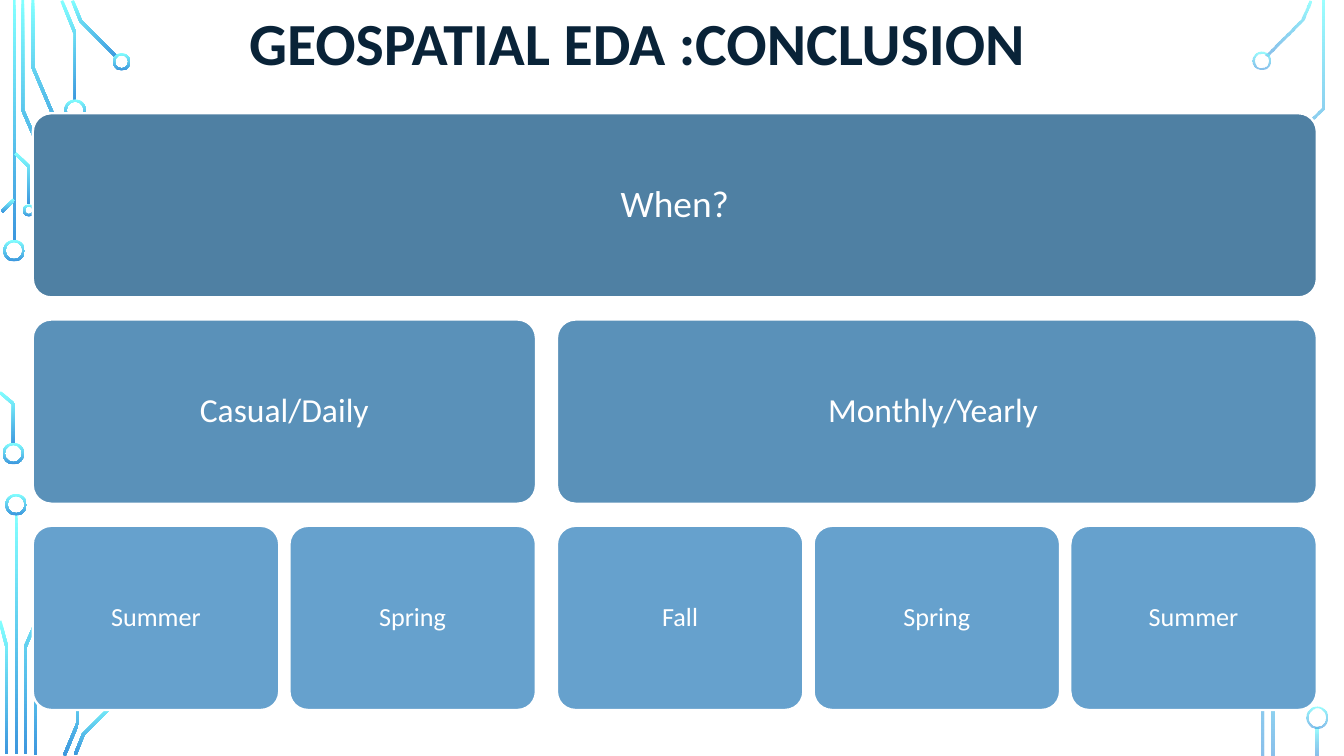
from math import hypot
from lxml.etree import SubElement
from pptx import Presentation
from pptx.dml.color import RGBColor
from pptx.enum.shapes import MSO_SHAPE
from pptx.enum.text import MSO_ANCHOR, PP_ALIGN
from pptx.oxml.ns import qn
from pptx.util import Inches, Pt

# The slide is a fine 16:9 grid of 1000 columns
COLS = 1000
ROWS = COLS * 9 / 16
UNIT = Inches(0.01)

# Circuit art: (points of each wire), (centre x, centre y, size of each ring)
LEFT_WIRES = [
    [(10.5, 0), (10.5, 179)],
    [(17, 0), (17, 82), (46, 149)],
    [(24.5, 0), (24.5, 50), (53, 117)],
    [(46, 0.5), (56, 25), (56, 75)],
    [(54, 0.5), (60, 15.5), (87, 42.5)],
    [(1.5, 157.5), (10.5, 148.5)],
    [(0, 292), (10, 300.5), (10, 331)],
    [(11.5, 114), (21.5, 124), (21.5, 152)],
    [(12, 382), (12, 561)],
    [(19, 561), (19, 481), (48, 414)],
    [(0, 462), (5, 481), (5, 561)],
    [(26.5, 562), (26.5, 512), (55, 445.5)],
    [(48, 562), (58, 538), (58, 488)],
    [(56, 561.5), (62, 546.5), (88.5, 520)],
]
LEFT_RINGS = [(10.5, 186.5, 16), (10, 337.5, 16), (56, 82, 16),
              (90.5, 46, 13), (21.5, 156.5, 9), (12, 375.5, 16)]
RIGHT_WIRES = [
    [(942.5, 41.5), (969, 14.5), (975, 0.5)],
    [(947, 562), (947, 520), (969.5, 467.5)],
    [(961.5, 127), (961.5, 103.5), (984.5, 80.5), (984.5, 0)],
    [(939.5, 562), (939.5, 460.5), (962.5, 437.5), (962.5, 414)],
    [(980, 541), (980, 562)],
]
RIGHT_RINGS = [(938.5, 45, 13), (972.5, 461.5, 13), (980, 534, 16)]

# Tiles: text, row, first column, last column
TILES = [
    ("When?", 0, 0, 4),
    ("Casual/Daily", 1, 0, 1),
    ("Monthly/Yearly ", 1, 2, 4),
    ("Summer", 2, 0, 0),
    ("Spring", 2, 1, 1),
    ("Fall", 2, 2, 2),
    ("Spring", 2, 3, 3),
    ("Summer", 2, 4, 4),
]
LOOKS = [("4F80A3", 20), ("5A91B9", 18), ("66A1CD", 14)]
TILE_W, TILE_H, STEP_X, STEP_Y = 183.4, 137, 191, 153.5


def grid(*nums):
    return [round(n * UNIT) for n in nums]


def tint(color, code):
    color.rgb = RGBColor.from_string(code)


def glow(shape, alphas):
    """Fill a shape from pale cyan at the top to blue at the foot."""
    shape.shadow.inherit = False
    shape.line.fill.background()
    shape.fill.gradient()
    shape.fill.gradient_angle = 270
    for stop, code, alpha in zip(shape.fill.gradient_stops, ("82FFFF", "3D97DE"), alphas):
        tint(stop.color, code)
        if alpha < 100:
            rgb = stop._element.find(qn("a:srgbClr"))
            SubElement(rgb, qn("a:alpha"), val=str(alpha * 1000))


def edge(points, half):
    """Shift a path sideways, with mitred corners."""
    norms = []
    for (ax, ay), (bx, by) in zip(points, points[1:]):
        size = hypot(bx - ax, by - ay)
        norms.append(((ay - by) / size, (bx - ax) / size))
    pairs = zip([norms[0]] + norms, norms + [norms[-1]])
    side = []
    for (x, y), ((ax, ay), (bx, by)) in zip(points, pairs):
        part = half / (1 + ax * bx + ay * by)
        side.append(grid(x + (ax + bx) * part, y + (ay + by) * part))
    return side


def wire(shapes, points, alphas):
    band = edge(points, 1.1) + edge(points, -1.1)[::-1]
    pen = shapes.build_freeform(*band[0])
    pen.add_line_segments(band[1:], close=True)
    glow(pen.convert_to_shape(), alphas)


def ring(shapes, x, y, size, alphas):
    shape = shapes.add_shape(MSO_SHAPE.DONUT, *grid(x - size / 2, y - size / 2, size, size))
    shape.adjustments[0] = 1.6 / size
    glow(shape, alphas)


def write(shape, text, size, code, align, bold=False):
    frame = shape.text_frame
    frame.text = text
    frame.word_wrap = True
    frame.vertical_anchor = MSO_ANCHOR.MIDDLE
    para = frame.paragraphs[0]
    para.alignment = align
    para.line_spacing = 0.9
    font = para.runs[0].font
    font.name, font.size, font.bold = "Calibri", Pt(size), bold
    tint(font.color, code)


def start(col):
    """Left side of a column; the second branch sits a little apart."""
    return 24.4 + STEP_X * col + (8 if col > 1 else 0)


def tile(shapes, text, row, first, last):
    code, size = LOOKS[row]
    left = start(first)
    box = grid(left, 84.3 + STEP_Y * row, start(last) + TILE_W - left, TILE_H)
    shape = shapes.add_shape(MSO_SHAPE.ROUNDED_RECTANGLE, *box)
    shape.adjustments[0] = 0.1
    shape.shadow.inherit = False
    shape.fill.solid()
    tint(shape.fill.fore_color, code)
    tint(shape.line.color, "FFFFFF")
    shape.line.width = Pt(1.25)
    write(shape, text, size, "FFFFFF", PP_ALIGN.CENTER)


def main():
    deck = Presentation()
    deck.slide_width, deck.slide_height = grid(COLS, ROWS)
    shapes = deck.slides.add_slide(deck.slide_layouts[6]).shapes

    # Circuit art on both sides
    for wires, rings, alphas in ((LEFT_WIRES, LEFT_RINGS, (100, 100)),
                                 (RIGHT_WIRES, RIGHT_RINGS, (80, 60))):
        for points in wires:
            wire(shapes, points, alphas)
        for spot in rings:
            ring(shapes, *spot, alphas)

    # Title
    title = shapes.add_textbox(*grid(175.5, 2.5, 635, 64))
    write(title, "GEOSPATIAL EDA :CONCLUSION", 32, "092338", PP_ALIGN.LEFT, True)

    # Tree of tiles
    for item in TILES:
        tile(shapes, *item)

    deck.save("out.pptx")


if __name__ == "__main__":
    main()
